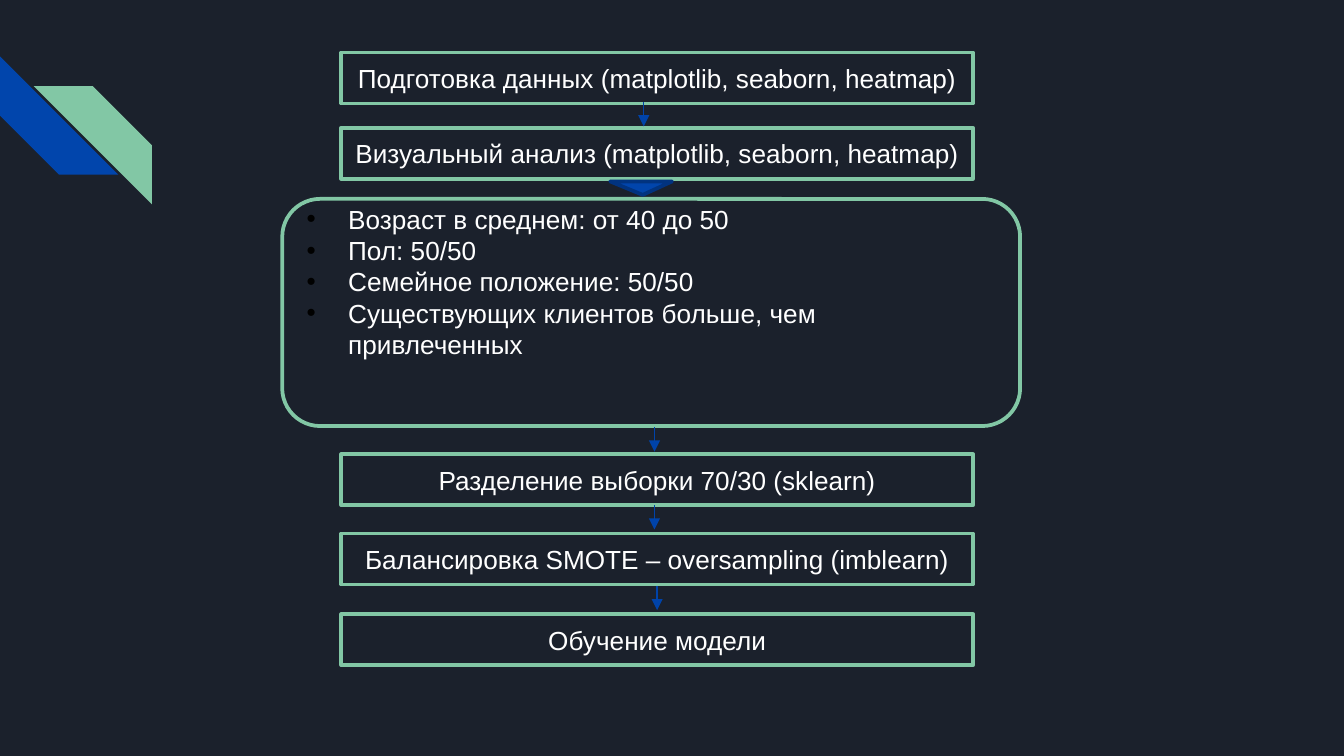
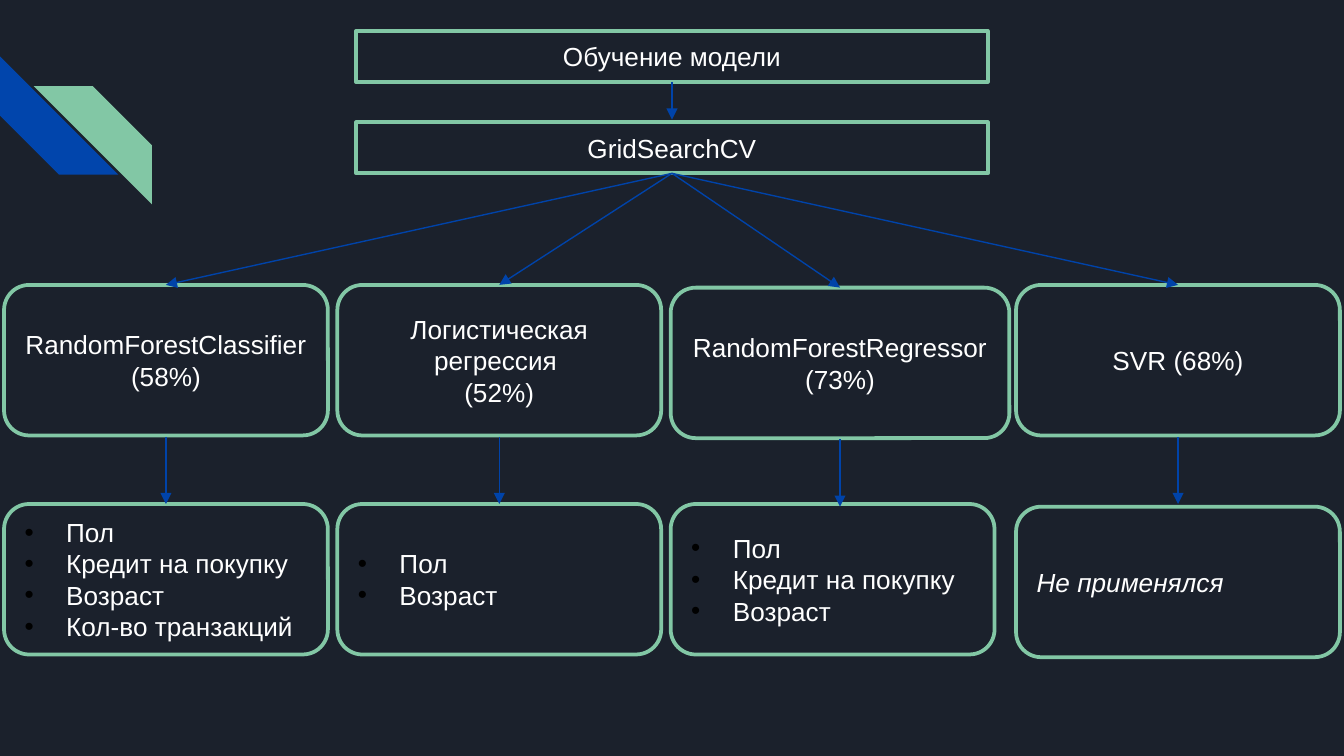
from lxml import etree
from pptx import Presentation
from pptx import util as u
from pptx.dml import color as colors
from pptx.enum import shapes, text
from pptx.oxml import ns

NIGHT, MINT, BLUE = "1B212C", "82C7A5", "0145AC"
ARROW, EDGE, WHITE, BLACK = "0043A9", "01337F", "FFFFFF", "000000"
FONT = {"name": "Arial", "size": u.Pt(14)}
LEFT, CENTER = text.PP_ALIGN.LEFT, text.PP_ALIGN.CENTER
SHAPE = shapes.MSO_SHAPE


def color(value):
    return colors.RGBColor.from_string(value)


def add_node(parent, tag, **values):
    return etree.SubElement(parent, ns.qn(tag), values)


class Flowchart:
    """Draws flowchart elements on the current page in one shared style."""

    def __init__(self):
        self.deck = Presentation()
        self.deck.slide_width = u.Inches(10)
        self.deck.slide_height = u.Inches(10) * 9 // 16
        self.page = None

    def new_page(self):
        self.page = self.deck.slides.add_slide(self.deck.slide_layouts[6])
        background = self.page.background.fill
        background.solid()
        background.fore_color.rgb = color(NIGHT)
        self.shape(SHAPE.DIAGONAL_STRIPE, (0, 0.42, 0.88, 0.88), BLUE, rotation=270)
        self.shape(SHAPE.DIAGONAL_STRIPE, (0.25, 0.64, 0.88, 0.88), MINT, rotation=90)

    def shape(self, kind, frame, fill, line=None, rotation=0):
        box = self.page.shapes.add_shape(kind, *map(u.Inches, frame))
        box.shadow.inherit = False
        box.rotation = rotation
        box.fill.solid()
        box.fill.fore_color.rgb = color(fill)
        if line:
            box.line.color.rgb = color(line)
            box.line.width = u.Pt(2)
        else:
            box.line.fill.background()
        return box

    def label(self, kind, frame, lines, align=CENTER, bullets=False, **font):
        box = self.shape(kind, frame, NIGHT, MINT)
        body = box.text_frame
        body.word_wrap = True
        body.vertical_anchor = text.MSO_ANCHOR.MIDDLE
        for index, line in enumerate(lines):
            para = body.add_paragraph() if index else body.paragraphs[0]
            para.alignment = align
            span = para.add_run()
            span.text = line
            span.font.color.rgb = color(WHITE)
            for name, value in {**FONT, **font}.items():
                setattr(span.font, name, value)
            if bullets:
                self.bullet(para)
        return box

    def bullet(self, para):
        props = para._p.get_or_add_pPr()
        indent = u.Inches(0.31)
        props.set("marL", str(indent))
        props.set("indent", str(-indent))
        add_node(add_node(props, "a:buClr"), "a:srgbClr", val=BLACK)
        add_node(props, "a:buFont", typeface="Arial")
        add_node(props, "a:buChar", char="•")

    def bar(self, left, top, line):
        return self.label(SHAPE.RECTANGLE, (left, top, 4.7, 0.38), [line])

    def card(self, frame, lines, **style):
        return self.label(SHAPE.ROUNDED_RECTANGLE, frame, lines, **style)

    def arrow(self, *ends):
        line = self.page.shapes.add_connector(
            shapes.MSO_CONNECTOR.STRAIGHT, *map(u.Inches, ends))
        line.line.color.rgb = color(ARROW)
        line.line.width = u.Pt(0.75)
        add_node(line.line._get_or_add_ln(), "a:tailEnd", type="triangle")
        add_node(line._element.spPr, "a:effectLst")


def draw_preparation(chart):
    chart.new_page()
    steps = [
        (0.39, "Подготовка данных (matplotlib, seaborn, heatmap)"),
        (0.95, "Визуальный анализ (matplotlib, seaborn, heatmap)"),
        (3.38, "Разделение выборки 70/30 (sklearn)"),
        (3.97, "Балансировка SMOTE – oversampling (imblearn)"),
        (4.57, "Обучение модели"),
    ]
    for top, step in steps:
        chart.bar(2.54, top, step)
    findings = chart.card((2.1, 1.48, 5.49, 1.69), [
        "Возраст в среднем: от 40 до 50",
        "Пол: 50/50",
        "Семейное положение: 50/50",
        "Существующих клиентов больше, чем привлеченных",
    ], align=LEFT, bullets=True)
    findings.text_frame.margin_bottom = u.Inches(0.51)
    pointer = chart.shape(SHAPE.ISOSCELES_TRIANGLE, (4.54, 1.35, 0.46, 0.1),
                          BLUE, EDGE, rotation=180)
    pointer.adjustments[0] = 0.475
    for x, y in [(4.79, 0.76), (4.87, 3.18), (4.87, 3.76), (4.89, 4.36)]:
        chart.arrow(x, y, x, y + 0.18)


def draw_training(chart):
    chart.new_page()
    chart.bar(2.65, 0.23, "Обучение модели")
    chart.arrow(5, 0.61, 5, 0.89)
    chart.bar(2.65, 0.91, "GridSearchCV")
    bulleted = {"align": LEFT, "bullets": True}
    models = [
        (0.03, 2.12, 2.41, ["RandomForestClassifier (58%)"],
         3.75, ["Пол", "Кредит на покупку", "Возраст", "Кол-во транзакций"], bulleted),
        (2.51, 2.12, 2.41, ["Логистическая регрессия ", "(52%)"],
         3.75, ["Пол", "Возраст"], bulleted),
        (4.99, 2.14, 2.52, ["RandomForestRegressor ", "(73%)"],
         3.75, ["Пол", "Кредит на покупку", "Возраст"], bulleted),
        (7.56, 2.12, 2.41, ["SVR (68%)"],
         3.77, ["Не применялся"], {"align": LEFT, "italic": True}),
    ]
    for left, top, width, model, low, features, style in models:
        middle = left + width / 2
        chart.card((left, top, width, 1.12), model)
        chart.arrow(5, 1.29, middle, top)
        chart.card((left, low, 2.41, 1.12), features, **style)
        chart.arrow(middle, top + 1.13, middle, top + 1.63)


def main():
    chart = Flowchart()
    draw_preparation(chart)
    draw_training(chart)
    chart.deck.save("out.pptx")


if __name__ == "__main__":
    main()
